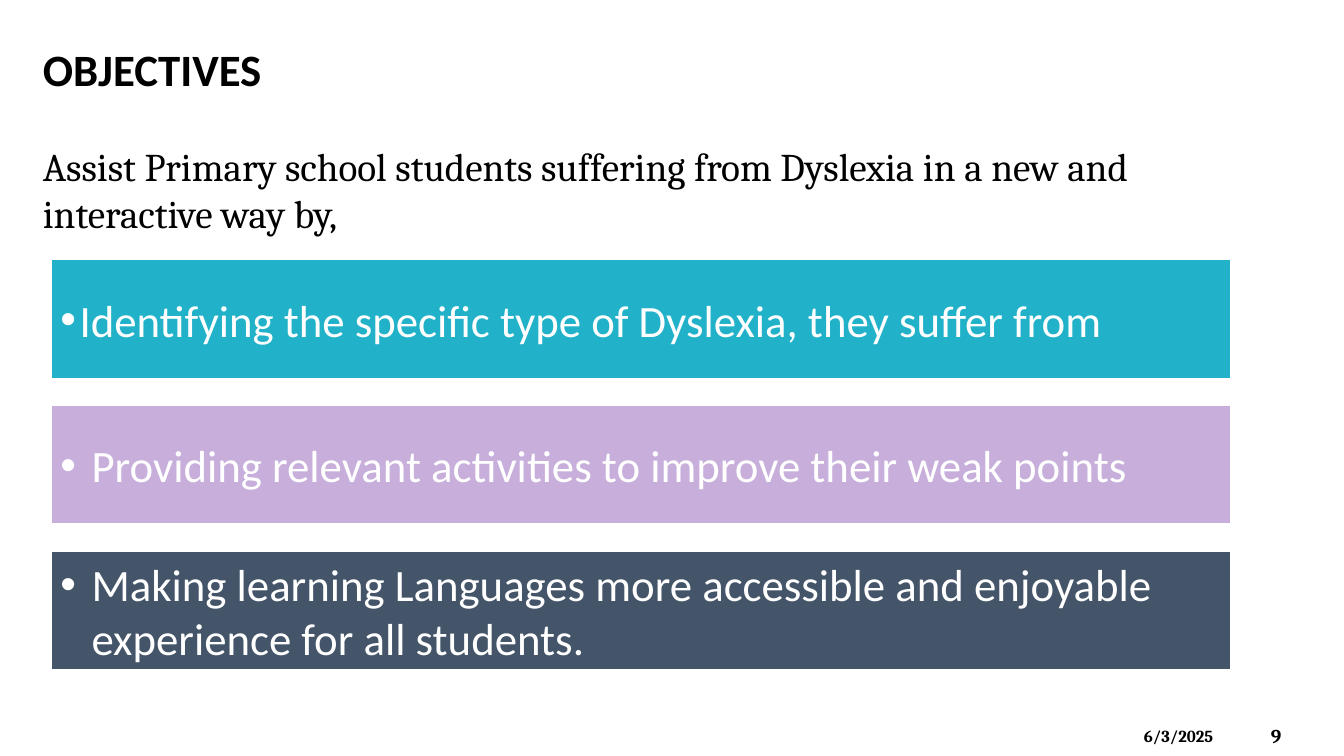
"""Build the Objectives slide with an introduction and three coloured bands."""
from dataclasses import dataclass

from lxml import etree
from pptx import Presentation
from pptx.dml.color import RGBColor
from pptx.enum.shapes import MSO_SHAPE
from pptx.enum.text import MSO_ANCHOR, MSO_AUTO_SIZE, PP_ALIGN
from pptx.oxml.ns import qn
from pptx.util import Inches, Pt

RECT = MSO_SHAPE.RECTANGLE
TOP, MIDDLE = MSO_ANCHOR.TOP, MSO_ANCHOR.MIDDLE
NO_FIT = MSO_AUTO_SIZE.NONE
LEFT = PP_ALIGN.LEFT

COLORS = {
    "black": "000000",
    "white": "FFFFFF",
    "teal": "21B2C9",
    "lilac": "C8AFDB",
    "slate": "445469",
}
SLIDE_W, SLIDE_H = Inches(13.33), Inches(7.5)
COLS, ROWS = 80, 45
BAND_LEFT, BAND_TOP, BAND_STEP = 3, 15.42, 8.67
BAND_W, BAND_H = 70.3, 7.15

FORMATS = {
    "title": {"size": Pt(32), "name": "Calibri", "bold": True},
    "intro": {"size": Pt(28), "name": "Cambria", "bold": False},
    "band": {"size": Pt(32), "name": "Calibri", "bold": False},
    "date": {"size": Pt(12), "name": "Cambria", "bold": True},
    "number": {"size": Pt(14), "name": "Cambria", "bold": True},
}


@dataclass
class Cell:
    col: float
    row: float
    cols: float
    rows: float


@dataclass
class Band:
    text: str
    color: str
    indent: float


BANDS = [
    Band("Identifying the specific type of Dyslexia, they suffer from", "teal", 0.19),
    Band("Providing relevant activities to improve their weak points", "lilac", 0.31),
    Band("Making learning Languages more accessible and enjoyable "
         "experience for all students.", "slate", 0.31),
]


def rgb(name: str) -> RGBColor:
    return RGBColor.from_string(COLORS[name])


def box(cell: Cell) -> tuple[int, int, int, int]:
    col_w, row_h = SLIDE_W / COLS, SLIDE_H / ROWS
    return (round(cell.col * col_w), round(cell.row * row_h),
            round(cell.cols * col_w), round(cell.rows * row_h))


def place(sp, cell: Cell) -> None:
    sp.left, sp.top, sp.width, sp.height = box(cell)


def set_bullet(p, indent: float, char: str = "") -> None:
    p_pr = p._p.get_or_add_pPr()
    p_pr.set("marL", str(Inches(indent)))
    p_pr.set("indent", str(-Inches(indent)))
    if char:
        etree.SubElement(p_pr, qn("a:buFont")).set("typeface", "Arial")
        etree.SubElement(p_pr, qn("a:buChar")).set("char", char)
    else:
        etree.SubElement(p_pr, qn("a:buNone"))


def write(sp, text: str, style: str, color: str = "black",
          anchor: MSO_ANCHOR = TOP, indent: float = 0, char: str = "") -> None:
    tf = sp.text_frame
    tf.text = text
    for name, value in {"word_wrap": True, "auto_size": NO_FIT,
                        "vertical_anchor": anchor}.items():
        setattr(tf, name, value)
    p = tf.paragraphs[0]
    set_bullet(p, indent, char)
    p.alignment = LEFT
    p.space_before = Pt(0)
    font = p.runs[0].font
    for name, value in FORMATS[style].items():
        setattr(font, name, value)
    font.color.rgb = rgb(color)


def add_band(slide, band: Band, index: int) -> None:
    cell = Cell(BAND_LEFT, BAND_TOP + index * BAND_STEP, BAND_W, BAND_H)
    sp = slide.shapes.add_shape(RECT, *box(cell))
    sp.shadow.inherit = False
    sp.fill.solid()
    sp.fill.fore_color.rgb = rgb(band.color)
    sp.line.color.rgb = rgb("white")
    sp.line.width = Pt(2)
    write(sp, band.text, "band", "white", MIDDLE, band.indent, "•")


def add_label(slide, cell: Cell, text: str, style: str, anchor: MSO_ANCHOR) -> None:
    sp = slide.shapes.add_textbox(*box(cell))
    write(sp, text, style, anchor=anchor)


def main() -> None:
    prs = Presentation()
    prs.slide_width, prs.slide_height = SLIDE_W, SLIDE_H
    slide = prs.slides.add_slide(prs.slide_layouts[1])
    title, intro = slide.shapes.title, slide.placeholders[1]
    place(title, Cell(1.95, 2.16, 78, 3.84))
    write(title, "OBJECTIVES", "title")
    place(intro, Cell(1.95, 8.16, 71.6, 6.24))
    write(intro, "Assist Primary school students suffering from Dyslexia "
          "in a new and interactive way by,", "intro")
    for index, band in enumerate(BANDS):
        add_band(slide, band, index)
    add_label(slide, Cell(67.5, 42.9, 7, 1.8), "6/3/2025", "date", TOP)
    add_label(slide, Cell(75.06, 42.6, 4.44, 2.4), "9", "number", MIDDLE)
    prs.save("out.pptx")


if __name__ == "__main__":
    main()
